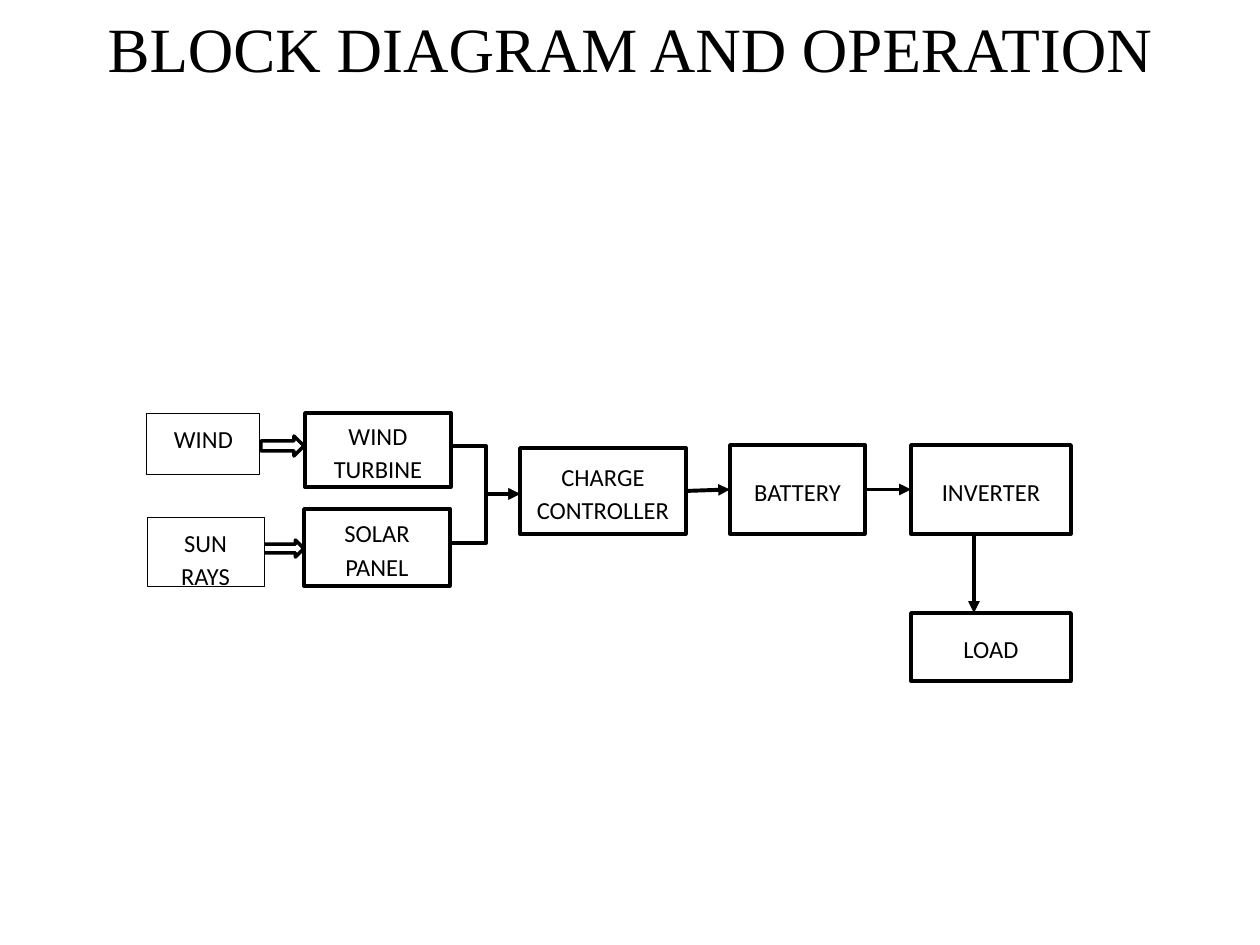
"""Builds a slide with the block diagram of a wind and solar power system."""
from dataclasses import dataclass

from lxml import etree
from pptx import Presentation
from pptx import util as u
from pptx.dml.color import RGBColor
from pptx.enum import shapes, text
from pptx.oxml.ns import qn

SCALE = 914400 / 126


@dataclass(frozen=True)
class Theme:
    ink: RGBColor = RGBColor(0, 0, 0)
    paper: RGBColor = RGBColor(255, 255, 255)
    title_font: str = "Times New Roman"
    body_font: str = "Calibri"
    title_size: int = 36
    body_size: int = 14
    thin: float = 0.5
    thick: float = 2
    wire: float = 2.25


def px(*values):
    return [u.Emu(round(v * SCALE)) for v in values]


def write(tf, content, *, font, size, color, anchor, spacing=None, after=None):
    tf.word_wrap = True
    tf.vertical_anchor = anchor
    p = tf.paragraphs[0]
    p.alignment = text.PP_ALIGN.CENTER
    p.line_spacing = spacing
    if after is not None:
        p.space_after = u.Pt(after)
    r = p.add_run()
    r.text = content
    r.font.name = font
    r.font.size = u.Pt(size)
    r.font.color.rgb = color


class Diagram:
    def __init__(self, s, theme):
        self.s = s
        self.theme = theme

    def title(self, content, *box):
        t = self.theme
        sp = self.s.shapes.add_textbox(*px(*box))
        write(sp.text_frame, content, font=t.title_font, size=t.title_size,
              color=t.ink, anchor=text.MSO_ANCHOR.MIDDLE)

    def shape(self, kind, box, width):
        sp = self.s.shapes.add_shape(kind, *px(*box))
        sp.shadow.inherit = False
        sp.fill.solid()
        sp.fill.fore_color.rgb = self.theme.paper
        sp.line.color.rgb = self.theme.ink
        sp.line.width = u.Pt(width)
        return sp

    def block(self, content, *box, source=False):
        t = self.theme
        sp = self.shape(shapes.MSO_SHAPE.RECTANGLE, box, t.thin if source else t.thick)
        anchor = text.MSO_ANCHOR.TOP if source else text.MSO_ANCHOR.MIDDLE
        write(sp.text_frame, content, font=t.body_font, size=t.body_size,
              color=t.ink, anchor=anchor, spacing=1.15, after=10)
        return sp

    def block_arrow(self, *box):
        self.shape(shapes.MSO_SHAPE.RIGHT_ARROW, box, self.theme.thick)

    def wire(self, *ends, kind=shapes.MSO_CONNECTOR.STRAIGHT):
        c = self.s.shapes.add_connector(kind, *px(*ends))
        c.line.color.rgb = self.theme.ink
        c.line.width = u.Pt(self.theme.wire)
        etree.SubElement(c.line._get_or_add_ln(), qn("a:tailEnd"), type="triangle")
        etree.SubElement(c._element.spPr, qn("a:effectLst"))
        return c

    def join(self, left, right):
        c = self.wire(0, 0, 0, 0)
        c.begin_connect(left, 3)
        c.end_connect(right, 1)


def main():
    prs = Presentation()
    prs.slide_width, prs.slide_height = px(1260, 945)
    s = prs.slides.add_slide(prs.slide_layouts[6])
    d = Diagram(s, Theme())

    d.title("BLOCK DIAGRAM AND OPERATION", 63, -31, 1134, 157)
    d.block("WIND TURBINE", 305, 413, 146, 74)
    d.block("SOLAR PANEL", 304, 509, 146, 77)
    controller = d.block("CHARGE CONTROLLER", 520, 448, 166, 86)
    battery = d.block("BATTERY", 730, 445, 135, 89)
    inverter = d.block("INVERTER", 911, 445, 160, 89)
    d.block("LOAD", 911, 613, 160, 68)

    d.join(controller, battery)
    d.join(battery, inverter)
    d.wire(974, 534, 974, 613)
    for y in (446, 543):
        d.wire(452, y, 520, 494, kind=shapes.MSO_CONNECTOR.ELBOW)

    d.block_arrow(261, 436, 43, 20)
    d.block_arrow(242, 540, 62, 17)
    d.block("WIND", 147, 413, 113, 62, source=True)
    d.block("SUN RAYS", 147, 517, 117, 69, source=True)

    prs.save("out.pptx")


if __name__ == "__main__":
    main()
